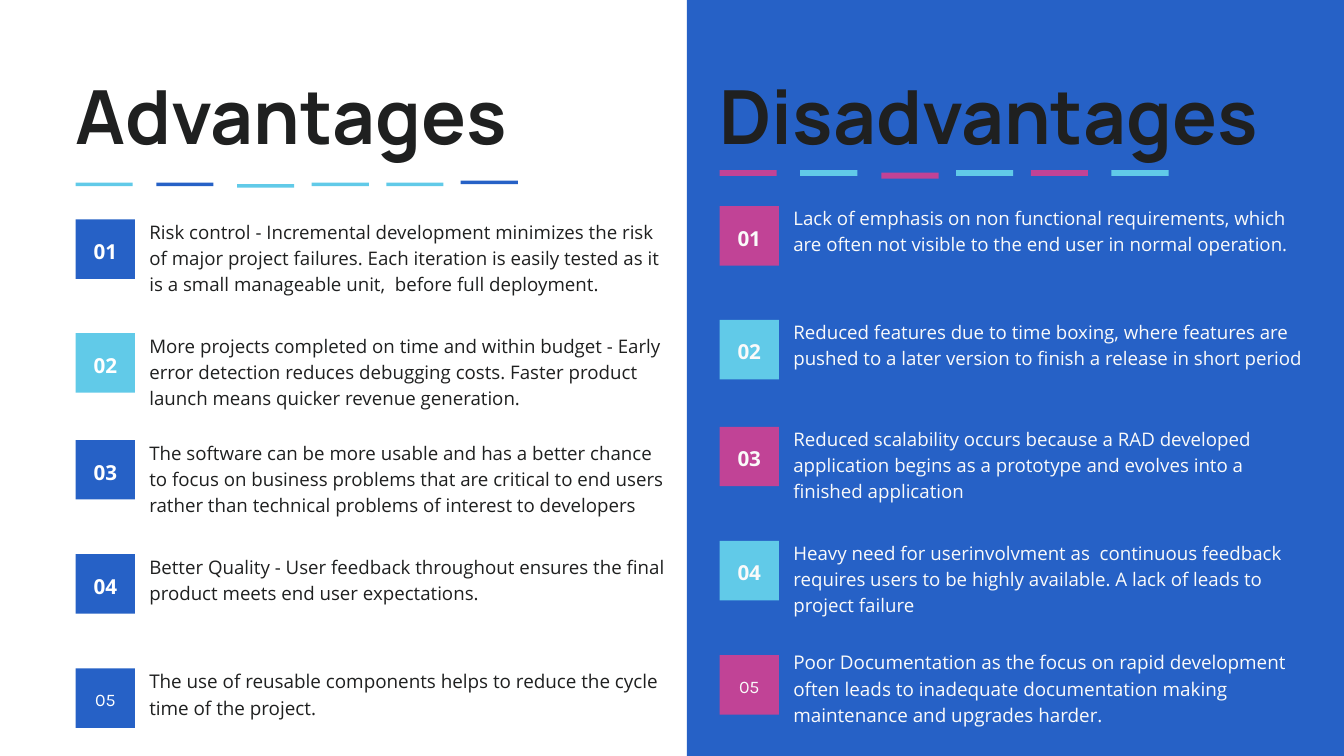
from pptx import Presentation
from pptx import util as u
from pptx.dml.color import RGBColor
from pptx.enum import shapes, text

BLUE, CYAN, PINK = "2661C6", "61CAE8", "C14396"
DARK, WHITE, PALE = "1F2020", "FFFFFF", "FAFAFA"
SLIDE_WIDTH, SLIDE_HEIGHT = 1440, 810
SQUARE = 63.6
ROW_OFFSETS = [0, 121.8, 236.4, 358.6, 481]

ADVANTAGES = [
    ("Risk control - Incremental development minimizes the risk of major project failures. "
     "Each iteration is easily tested as it is a small manageable unit,  before full deployment.", BLUE),
    ("More projects completed on time and within budget - Early error detection reduces "
     "debugging costs. Faster product launch means quicker revenue generation.", CYAN),
    ("The software can be more usable and has a better chance to focus on business problems "
     "that are critical to end users rather than technical problems of interest to developers", BLUE),
    ("Better Quality - User feedback throughout ensures the final product meets "
     "end user expectations.", BLUE),
    ("The use of reusable components helps to reduce the cycle time of the project.", BLUE),
]
DISADVANTAGES = [
    ("Lack of emphasis on non functional requirements, which are often not visible "
     "to the end user in normal operation.", PINK),
    ("Reduced features due to time boxing, where features are pushed to a later version "
     "to finish a release in short period", CYAN),
    ("Reduced scalability occurs because a RAD developed application begins as a prototype "
     "and evolves into a finished application", PINK),
    ("Heavy need for userinvolvment as  continuous feedback requires users to be highly "
     "available. A lack of leads to project failure", CYAN),
    ("Poor Documentation as the focus on rapid development often leads to inadequate "
     "documentation making maintenance and upgrades harder.", PINK),
]

# Dashes under each title: horizontal offset, vertical offset, colour
ADVANTAGE_DASHES = [(0, 0, CYAN), (86.4, 0, BLUE), (173, 1.6, CYAN),
                    (253, 0, CYAN), (333, 0, CYAN), (412.6, -2, BLUE)]
DISADVANTAGE_DASHES = [(0, 0, PINK), (86.4, 0, CYAN), (173.4, 2.9, PINK),
                       (253.4, 0, CYAN), (333.4, 0, PINK), (419.8, 0, CYAN)]


def color(value):
    return RGBColor.from_string(value)


def add_rectangle(slide, left, top, width, height, fill):
    shape = slide.shapes.add_shape(shapes.MSO_SHAPE.RECTANGLE,
                                   u.Pt(left), u.Pt(top), u.Pt(width), u.Pt(height))
    shape.shadow.inherit = False
    shape.fill.solid()
    shape.fill.fore_color.rgb = color(fill)
    shape.line.fill.background()
    return shape


def write(shape, words, font_name, size, spacing, font_color, bold=False,
          align=text.PP_ALIGN.LEFT, anchor=text.MSO_ANCHOR.TOP):
    frame = shape.text_frame
    frame.word_wrap = True
    frame.vertical_anchor = anchor
    frame.margin_left = frame.margin_right = frame.margin_top = frame.margin_bottom = 0
    paragraph = frame.paragraphs[0]
    paragraph.text = words
    paragraph.alignment = align
    paragraph.line_spacing = u.Pt(spacing)
    paragraph.font.name = font_name
    paragraph.font.size = u.Pt(size)
    paragraph.font.bold = bold
    paragraph.font.color.rgb = color(font_color)


def add_text(slide, left, top, width, height, words, *style, **options):
    box = slide.shapes.add_textbox(u.Pt(left), u.Pt(top), u.Pt(width), u.Pt(height))
    write(box, words, *style, **options)


def add_number(slide, left, top, number, fill, font_color, last):
    square = add_rectangle(slide, left, top, SQUARE, SQUARE, fill)
    style = ("Karla", 19, 26.6) if last else ("Open Sans", 22.1, 31)
    write(square, f"{number:02}", *style, font_color, bold=not last,
          align=text.PP_ALIGN.CENTER, anchor=text.MSO_ANCHOR.MIDDLE)


def add_column(slide, left, title, items, first_top, text_lifts, text_color, number_color):
    add_text(slide, left, 73.4, 660, 103.7, title, "Manrope", 80, 97.6, DARK, bold=True)
    rows = zip(items, ROW_OFFSETS, text_lifts)
    for number, ((words, fill), offset, lift) in enumerate(rows, start=1):
        top = first_top + offset
        last = number == len(items)
        add_number(slide, left, top, number, fill, number_color, last)
        width, size, spacing = (560, 20.2, 28.3) if last else (553, 20, 28)
        add_text(slide, left + 79, top - lift, width, 84, words,
                 "Open Sans", size, spacing, text_color)


def add_dashes(slide, left, top, height, dashes):
    for across, down, fill in dashes:
        add_rectangle(slide, left + across, top + down, 61.2, height, fill)


def main():
    presentation = Presentation()
    presentation.slide_width = u.Pt(SLIDE_WIDTH)
    presentation.slide_height = u.Pt(SLIDE_HEIGHT)
    slide = presentation.slides.add_slide(presentation.slide_layouts[6])

    # Right half background
    panel_left = 736
    add_rectangle(slide, panel_left, 0, SLIDE_WIDTH - panel_left, SLIDE_HEIGHT, BLUE)

    # Advantages
    add_column(slide, 81, "Advantages", ADVANTAGES, 235.2, [2.5] * 5, DARK, WHITE)
    add_dashes(slide, 81, 195.6, 3.8, ADVANTAGE_DASHES)

    # Disadvantages
    add_column(slide, 771, "Disadvantages", DISADVANTAGES, 221, [3.2] * 4 + [8.6], PALE, PALE)
    add_dashes(slide, 771, 182.2, 6.3, DISADVANTAGE_DASHES)

    presentation.save("out.pptx")


if __name__ == "__main__":
    main()
